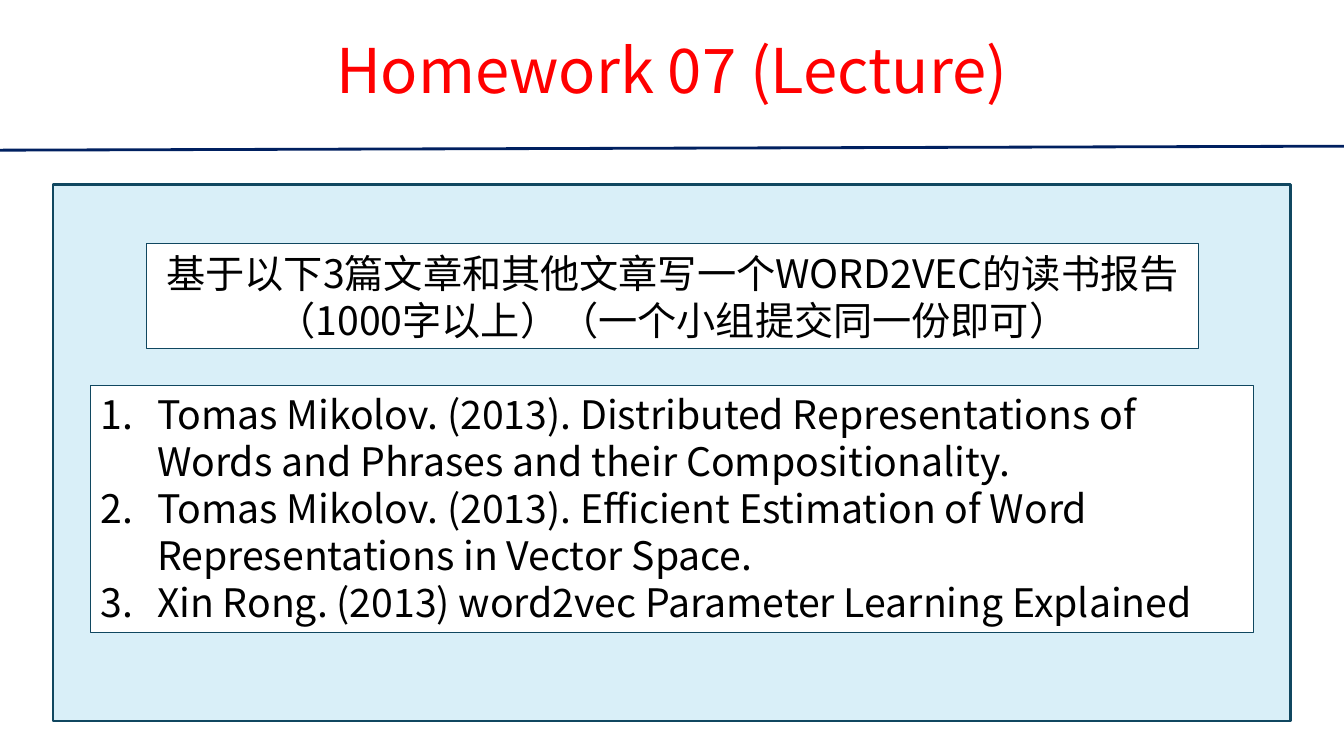
from lxml import etree
from pptx import Presentation
from pptx.dml.color import RGBColor
from pptx.enum import shapes, text
from pptx.oxml.ns import qn
from pptx.util import Inches, Pt

COLORS = {"title": "FF0000", "rule": "002060", "panel": "83CBEB",
          "border": "104760", "card": "FFFFFF", "ink": "000000"}
FONT = "Noto Sans CJK SC"
SLIDE_W, SLIDE_H = 13.33, 7.5
TASK = "基于以下3篇⽂章和其他⽂章写⼀个WORD2VEC的读书报告（1000字以上）（一个小组提交同一份即可）"
PAPERS = [
    "Tomas Mikolov. (2013). Distributed Representations of Words and Phrases and their Compositionality.",
    "Tomas Mikolov. (2013). Efficient Estimation of Word Representations in Vector Space.",
    "Xin Rong. (2013) word2vec Parameter Learning Explained",
]


def rgb(name):
    return RGBColor.from_string(COLORS[name])


def write(frame, paragraphs, size=28, color="ink", align=text.PP_ALIGN.LEFT,
          anchor=text.MSO_ANCHOR.TOP, spacing=None, numbered=False):
    frame.word_wrap = True
    frame.vertical_anchor = anchor
    for index, wording in enumerate(paragraphs):
        paragraph = frame.add_paragraph() if index else frame.paragraphs[0]
        paragraph.alignment = align
        if spacing:
            paragraph.line_spacing = spacing
        run = paragraph.add_run()
        run.text = wording
        run.font.size = Pt(size)
        run.font.name = FONT
        run.font.color.rgb = rgb(color)
        etree.SubElement(run.font._element, qn("a:ea"), typeface=FONT)
        if numbered:
            properties = paragraph._p.get_or_add_pPr()
            properties.set("marL", str(Inches(0.56)))
            properties.set("indent", str(-Inches(0.56)))
            etree.SubElement(properties, qn("a:buFont"), typeface="+mj-lt")
            etree.SubElement(properties, qn("a:buAutoNum"), type="arabicPeriod")


def add_box(slide, left, top, width, height, fill, line_width):
    box = slide.shapes.add_shape(shapes.MSO_SHAPE.RECTANGLE, Inches(left), Inches(top),
                                 Inches(width), Inches(height))
    box.shadow.inherit = False
    box.fill.solid()
    box.fill.fore_color.rgb = rgb(fill)
    box.line.color.rgb = rgb("border")
    box.line.width = Pt(line_width)
    return box


def add_header(slide, left, top, width, height):
    """Place the title and the slightly rising rule beneath it."""
    title = slide.shapes.title
    title.left, title.top = Inches(left), Inches(top)
    title.width, title.height = Inches(width), Inches(height)
    write(title.text_frame, ["Homework 07 (Lecture)"], size=44, color="title",
          align=text.PP_ALIGN.CENTER, anchor=text.MSO_ANCHOR.MIDDLE, spacing=0.9)
    bottom = top + height
    rule = slide.shapes.add_connector(shapes.MSO_CONNECTOR.STRAIGHT, Inches(left),
                                      Inches(bottom + 0.04), Inches(left + width), Inches(bottom))
    rule.line.color.rgb = rgb("rule")
    rule.line.width = Pt(2)
    etree.SubElement(rule._element.spPr, qn("a:effectLst"))


def add_assignment(slide, left, top, width, height):
    """Place the tinted panel with the task and the reading list inside it."""
    panel = add_box(slide, left, top, width, height, "panel", 1.5)
    tint = panel._element.spPr.find(qn("a:solidFill"))[0]
    etree.SubElement(tint, qn("a:alpha"), val="30000")

    task = add_box(slide, left + 0.92, top + 0.59, 10.44, 1.04, "card", 0.75)
    write(task.text_frame, [TASK], align=text.PP_ALIGN.CENTER)
    papers = add_box(slide, left + 0.37, top + 1.99, 11.53, 2.46, "card", 0.75)
    write(papers.text_frame, PAPERS, numbered=True)


def main():
    deck = Presentation()
    deck.slide_width, deck.slide_height = Inches(SLIDE_W), Inches(SLIDE_H)
    slide = deck.slides.add_slide(deck.slide_layouts.get_by_name("Title Only"))
    add_header(slide, 0, 0, SLIDE_W, 1.45)
    add_assignment(slide, 0.53, 1.83, 12.27, 5.32)
    deck.save("out.pptx")


if __name__ == "__main__":
    main()
